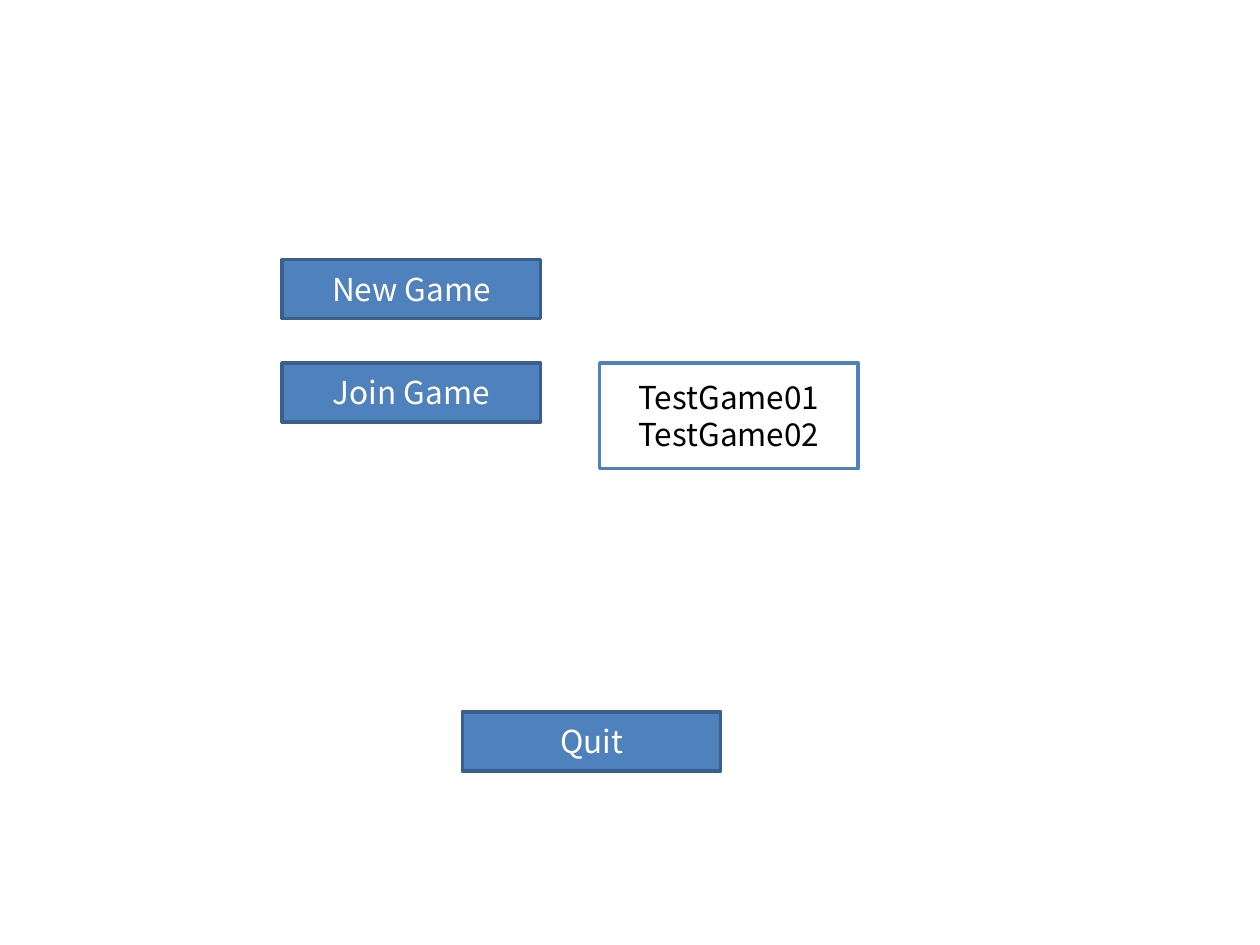
from dataclasses import dataclass

from pptx import Presentation
from pptx.dml.color import RGBColor
from pptx.enum.shapes import MSO_SHAPE
from pptx.enum.text import MSO_ANCHOR, PP_ALIGN
from pptx.util import Cm, Pt

RECTANGLE = MSO_SHAPE.RECTANGLE
MIDDLE = MSO_ANCHOR.MIDDLE
CENTER = PP_ALIGN.CENTER


@dataclass(frozen=True)
class Theme:
    font: str = "Noto Sans CJK KR"
    text_size: Pt = Pt(18)
    line_spacing: Pt = Pt(21)
    border: Pt = Pt(2)
    blue: RGBColor = RGBColor(0x4F, 0x81, 0xBD)
    dark_blue: RGBColor = RGBColor(0x3A, 0x5F, 0x8C)
    white: RGBColor = RGBColor(0xFF, 0xFF, 0xFF)
    black: RGBColor = RGBColor(0x00, 0x00, 0x00)


THEME = Theme()

# Shared layout lengths
BOX_WIDTH = Cm(5.21)
BUTTON_HEIGHT = Cm(1.19)
LIST_HEIGHT = Cm(2.13)
MENU_LEFT = Cm(5.69)
JOIN_TOP = Cm(7.32)


def add_box(page, left, top, height, text, fill, border, text_color):
    box = page.shapes.add_shape(RECTANGLE, left, top, BOX_WIDTH, height)
    box.shadow.inherit = False
    box.fill.solid()
    box.fill.fore_color.rgb = fill
    box.line.color.rgb = border
    box.line.width = THEME.border

    frame = box.text_frame
    frame.text = text
    frame.word_wrap = True
    frame.vertical_anchor = MIDDLE
    for para in frame.paragraphs:
        para.alignment = CENTER
        para.line_spacing = THEME.line_spacing
        for span in para.runs:
            span.font.name = THEME.font
            span.font.size = THEME.text_size
            span.font.color.rgb = text_color


def add_button(page, left, top, label):
    add_box(page, left, top, BUTTON_HEIGHT, label,
            THEME.blue, THEME.dark_blue, THEME.white)


def add_game_list(page, left, top, games):
    add_box(page, left, top, LIST_HEIGHT, "\n".join(games),
            THEME.white, THEME.blue, THEME.black)


def main():
    deck = Presentation()
    deck.slide_width, deck.slide_height = Cm(25.4), Cm(19.05)
    page = deck.slides.add_slide(deck.slide_layouts[6])

    # Menu buttons
    add_button(page, MENU_LEFT, Cm(5.23), "New Game")
    add_button(page, MENU_LEFT, JOIN_TOP, "Join Game")
    add_button(page, Cm(9.32), Cm(14.35), "Quit")

    # Games open to join, level with the join button
    add_game_list(page, Cm(12.09), JOIN_TOP, ["TestGame01", "TestGame02"])

    deck.save("out.pptx")


if __name__ == "__main__":
    main()
